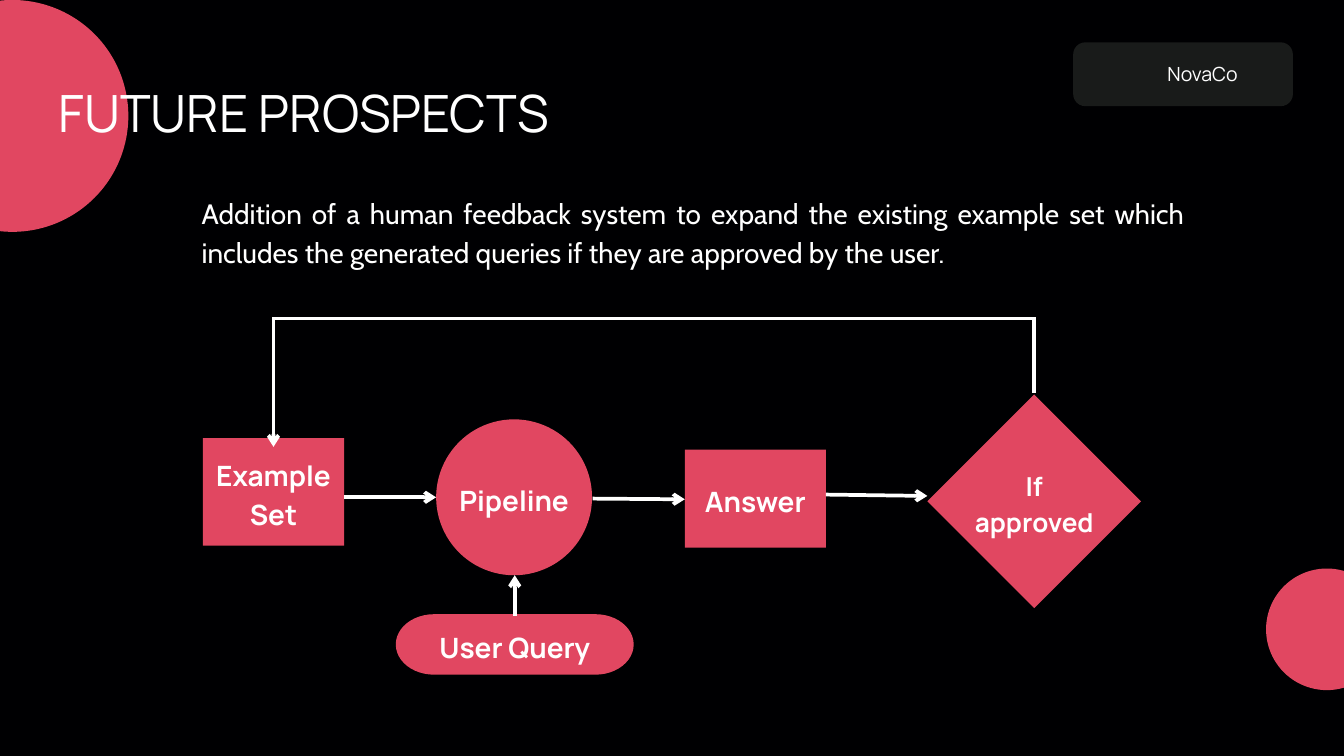
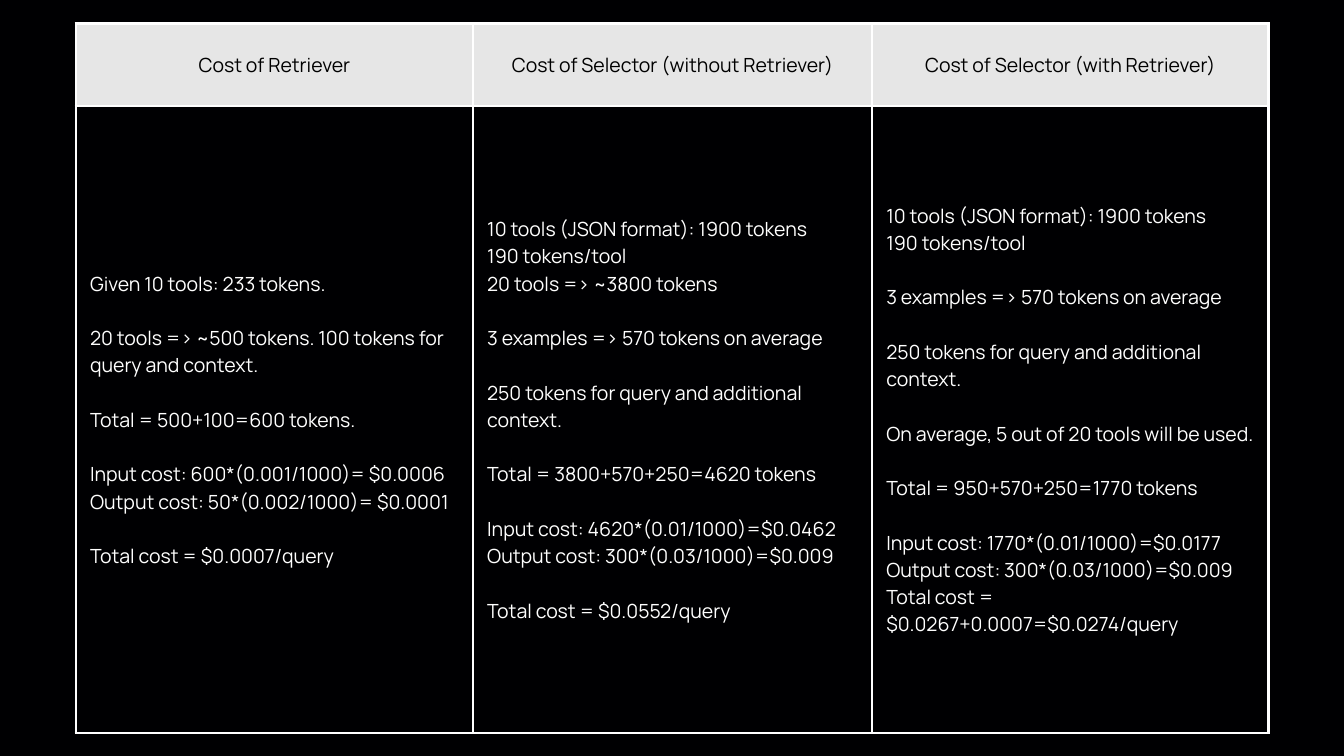
from dataclasses import dataclass

import pptx
import pptx.dml.color
import pptx.enum.shapes
import pptx.enum.text
import pptx.oxml
import pptx.oxml.ns
import pptx.util
from pptx.util import Inches

SHAPE = pptx.enum.shapes.MSO_SHAPE
ALIGN = pptx.enum.text.PP_ALIGN
ANCHOR = pptx.enum.text.MSO_ANCHOR


@dataclass(frozen=True)
class Theme:
    background: str = "000002"
    accent: str = "E14761"
    badge: str = "191B1A"
    header: str = "E6E6E6"
    light: str = "FFFFFF"
    dark: str = "000000"
    display_font: str = "Manrope"
    body_font: str = "Cabin"
    title_size: float = 55
    body_size: float = 30
    small_node_size: float = 28
    small_size: float = 20.9
    title_spacing: float = 67.1
    body_spacing: float = 42
    small_node_spacing: float = 39.2
    small_spacing: float = 29.2
    arrow_width: float = 4
    border_width: float = 3


THEME = Theme()

COSTS = {
    "Cost of Retriever": [
        ["Given 10 tools: 233 tokens."],
        ["20 tools => ~500 tokens. 100 tokens for query and context."],
        ["Total = 500+100=600 tokens."],
        ["Input cost: 600*(0.001/1000)= $0.0006", "Output cost: 50*(0.002/1000)= $0.0001"],
        ["Total cost = $0.0007/query"],
    ],
    "Cost of Selector (without Retriever)": [
        ["10 tools (JSON format): 1900 tokens", "190 tokens/tool", "20 tools => ~3800 tokens"],
        ["3 examples => 570 tokens on average"],
        ["250 tokens for query and additional context."],
        ["Total = 3800+570+250=4620 tokens"],
        ["Input cost: 4620*(0.01/1000)=$0.0462", "Output cost: 300*(0.03/1000)=$0.009"],
        ["Total cost = $0.0552/query"],
    ],
    "Cost of Selector (with Retriever)": [
        ["10 tools (JSON format): 1900 tokens", "190 tokens/tool"],
        ["3 examples => 570 tokens on average"],
        ["250 tokens for query and additional context."],
        ["On average, 5 out of 20 tools will be used."],
        ["Total = 950+570+250=1770 tokens"],
        [
            "Input cost: 1770*(0.01/1000)=$0.0177",
            "Output cost: 300*(0.03/1000)=$0.009",
            "Total cost = $0.0267+0.0007=$0.0274/query",
        ],
    ],
}


def rgb(color):
    return pptx.dml.color.RGBColor.from_string(color)


def add_page(deck):
    page = deck.slides.add_slide(deck.slide_layouts[6])
    page.background.fill.solid()
    page.background.fill.fore_color.rgb = rgb(THEME.background)
    return page


def write_groups(frame, groups, size, spacing, color=THEME.light,
                 font=THEME.display_font, align=ALIGN.LEFT, bold=False):
    para = None
    for group in groups:
        for index, text in enumerate(group):
            first = para is None
            para = frame.paragraphs[0] if first else frame.add_paragraph()
            para.alignment = align
            para.line_spacing = pptx.util.Pt(spacing)
            if index == 0 and not first:
                para.space_before = pptx.util.Pt(spacing)
            span = para.add_run()
            span.text = text
            span.font.name = font
            span.font.size = pptx.util.Pt(size)
            span.font.bold = bold
            span.font.color.rgb = rgb(color)


def add_text(page, left, top, width, height, lines, size, spacing,
             margin=0, anchor=ANCHOR.TOP, **style):
    box = page.shapes.add_textbox(Inches(left), Inches(top), Inches(width), Inches(height))
    frame = box.text_frame
    frame.word_wrap = True
    frame.vertical_anchor = anchor
    frame.margin_left = frame.margin_right = Inches(margin)
    frame.margin_top = frame.margin_bottom = Inches(margin)
    write_groups(frame, [lines], size, spacing, **style)


def add_block(page, kind, left, top, width, height, color=THEME.accent):
    block = page.shapes.add_shape(kind, Inches(left), Inches(top), Inches(width), Inches(height))
    block.shadow.inherit = False
    block.fill.solid()
    block.fill.fore_color.rgb = rgb(color)
    block.line.fill.background()
    return block


def add_node(page, kind, left, top, width, height, lines, inset=0,
             size=THEME.body_size, spacing=THEME.body_spacing):
    add_block(page, kind, left, top, width, height)
    add_text(page, left + inset, top, width - 2 * inset, height, lines, size, spacing,
             margin=0.06, anchor=ANCHOR.MIDDLE, align=ALIGN.CENTER, bold=True)


def add_link(page, start, end, arrow=True):
    points = [Inches(value) for value in (*start, *end)]
    link = page.shapes.add_connector(pptx.enum.shapes.MSO_CONNECTOR.STRAIGHT, *points)
    link.line.color.rgb = rgb(THEME.light)
    link.line.width = pptx.util.Pt(THEME.arrow_width)
    properties = link._element.spPr
    if arrow:
        tip = pptx.oxml.parse_xml(f'<a:tailEnd {pptx.oxml.ns.nsdecls("a")} type="arrow"/>')
        properties.find(pptx.oxml.ns.qn("a:ln")).append(tip)
    properties.append(pptx.oxml.parse_xml(f'<a:effectLst {pptx.oxml.ns.nsdecls("a")}/>'))


def set_borders(cell):
    properties = cell._tc.get_or_add_tcPr()
    width = pptx.util.Pt(THEME.border_width)
    for index, side in enumerate(("lnL", "lnR", "lnT", "lnB")):
        border = pptx.oxml.parse_xml(
            f'<a:{side} {pptx.oxml.ns.nsdecls("a")} w="{width}"><a:solidFill>'
            f'<a:srgbClr val="{THEME.light}"/></a:solidFill></a:{side}>')
        properties.insert(index, border)


def fill_cell(cell, groups, **style):
    cell.vertical_anchor = ANCHOR.MIDDLE
    cell.margin_left = cell.margin_right = Inches(0.21)
    cell.margin_top = cell.margin_bottom = Inches(0.05)
    write_groups(cell.text_frame, groups, THEME.small_size, THEME.small_spacing, **style)
    set_borders(cell)


def add_cost_table(page):
    widths, heights = (5.91, 5.94, 5.9), (1.23, 9.33)
    holder = page.shapes.add_table(len(heights), len(widths), Inches(1.13), Inches(0.35),
                                   Inches(sum(widths)), Inches(sum(heights)))
    table = holder.table
    table.first_row = table.horz_banding = False
    for row, height in zip(table.rows, heights):
        row.height = Inches(height)
    for index, (heading, groups) in enumerate(COSTS.items()):
        table.columns[index].width = Inches(widths[index])
        top, body = table.cell(0, index), table.cell(1, index)
        top.fill.solid()
        top.fill.fore_color.rgb = rgb(THEME.header)
        body.fill.background()
        fill_cell(top, [[heading]], color=THEME.dark, align=ALIGN.CENTER)
        fill_cell(body, groups)


def add_badge(page):
    badge = add_block(page, SHAPE.ROUNDED_RECTANGLE, 15.97, 0.63, 3.27, 0.95, THEME.badge)
    badge.adjustments[0] = 0.19
    add_text(page, 16.86, 0.86, 2.07, 0.4, ["NovaCo"], THEME.small_size,
             THEME.small_spacing, align=ALIGN.CENTER)


def add_feedback_flow(page):
    add_node(page, SHAPE.RECTANGLE, 3.02, 6.52, 2.1, 1.6, ["Example", "Set"])
    add_node(page, SHAPE.OVAL, 6.49, 6.24, 2.32, 2.32, ["Pipeline"], inset=0.2)
    add_node(page, SHAPE.RECTANGLE, 10.19, 6.69, 2.1, 1.46, ["Answer"])
    add_node(page, SHAPE.FLOWCHART_TERMINATOR, 5.89, 9.14, 3.54, 0.9, ["User Query"])
    add_node(page, SHAPE.DIAMOND, 13.8, 5.87, 3.18, 3.18, ["If approved"], inset=0.55,
             size=THEME.small_node_size, spacing=THEME.small_node_spacing)

    add_link(page, (5.12, 7.4), (6.49, 7.4))
    add_link(page, (8.82, 7.42), (10.19, 7.43))
    add_link(page, (12.29, 7.36), (13.8, 7.38))
    add_link(page, (7.66, 9.16), (7.66, 8.56))

    example_x, approval_x, return_y = 4.07, 15.39, 4.74
    add_link(page, (approval_x, 5.85), (approval_x, return_y - 0.02), arrow=False)
    add_link(page, (example_x, return_y), (approval_x, return_y), arrow=False)
    add_link(page, (example_x, return_y - 0.02), (example_x, 6.65))


def build_prospects(deck):
    page = add_page(deck)
    add_block(page, SHAPE.OVAL, 18.84, 8.46, 1.81, 1.81)
    add_block(page, SHAPE.OVAL, -1.54, 0, 3.45, 3.45)
    add_text(page, 0.87, 1.2, 10.15, 0.93, ["FUTURE PROSPECTS"],
             THEME.title_size, THEME.title_spacing)
    add_text(page, 3, 2.84, 14.63, 1.17,
             ["Addition of a human feedback system to expand the existing example set which "
              "includes the generated queries if they are approved by the user."],
             THEME.body_size, THEME.body_spacing, font=THEME.body_font, align=ALIGN.JUSTIFY)
    add_feedback_flow(page)
    add_badge(page)


def main():
    deck = pptx.Presentation()
    deck.slide_width, deck.slide_height = Inches(20), Inches(11.25)
    build_prospects(deck)
    add_cost_table(add_page(deck))
    deck.save("out.pptx")


if __name__ == "__main__":
    main()
